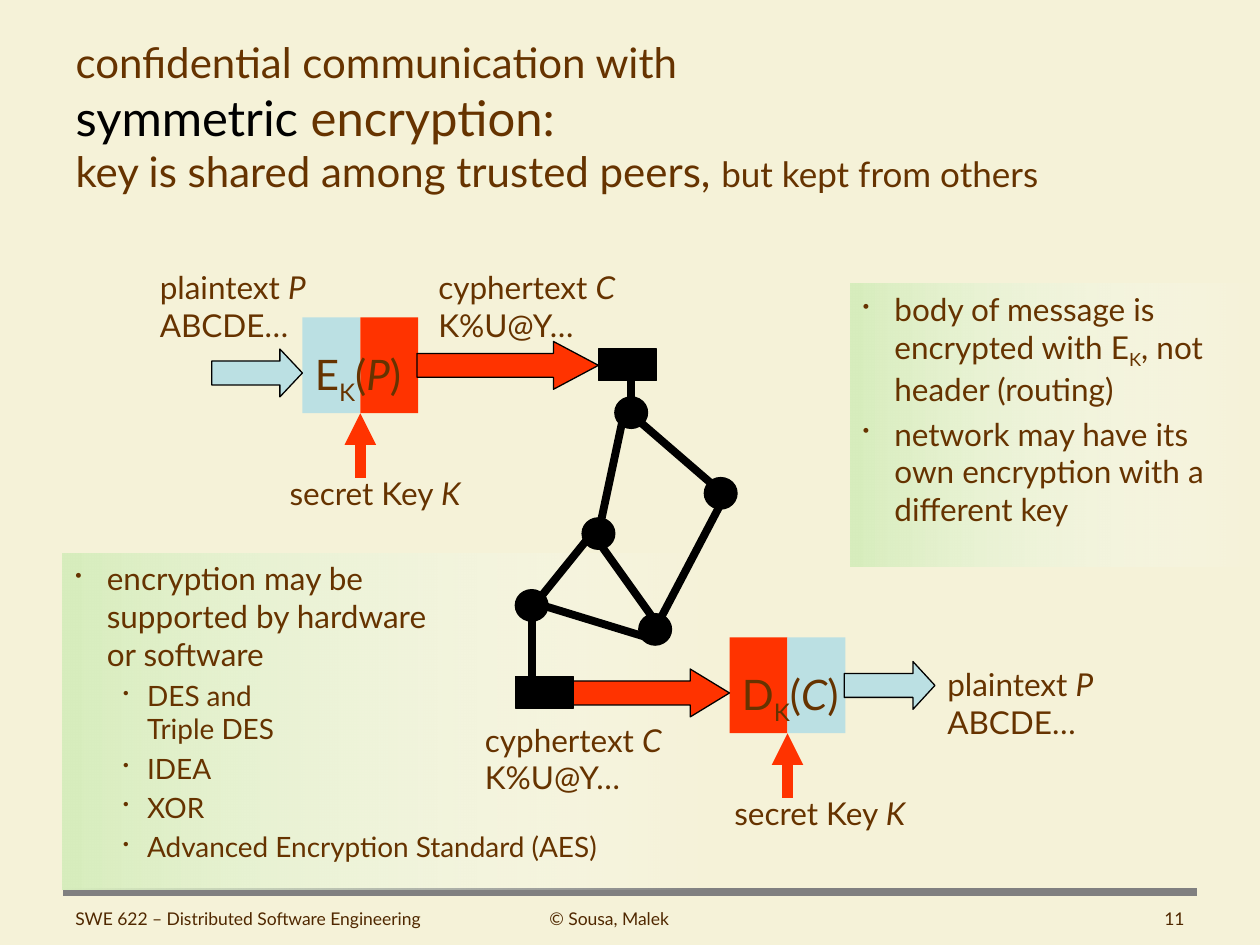
from lxml import etree
from pptx import Presentation
from pptx.dml.color import RGBColor
from pptx.enum.shapes import MSO_CONNECTOR, MSO_SHAPE as SHAPE
from pptx.enum.text import MSO_ANCHOR as ANCHOR, MSO_AUTO_SIZE as AUTO, PP_ALIGN as ALIGN
from pptx.oxml.ns import qn
from pptx.util import Inches, Pt

COLORS = {"bg": "F5F2D8", "text": "663300", "footer": "502800", "rule": "808080",
          "green": "D7EDBD", "white": "FFFFFF", "plain": "BBE0E3", "cipher": "FF3300",
          "black": "000000"}
FONT = "Lato"


def rgb(name):
    """Look up a named colour."""
    return RGBColor.from_string(COLORS[name])


def box_of(*lengths):
    """Turn inch values into lengths."""
    return [Inches(v) for v in lengths]


def add_runs(p, parts, size, color="text"):
    """Append (text, options) parts to a paragraph, breaking lines at newlines."""
    for text, opts in parts:
        for i, line in enumerate(text.split("\n")):
            if i:
                p.add_line_break()
            if not line:
                continue
            r = p.add_run()
            r.text = line
            r.font.name = FONT
            r.font.size = Pt(opts.get("size", size))
            r.font.color.rgb = rgb(opts.get("color", color))
            if opts.get("italic"):
                r.font.italic = True
            if opts.get("sub"):
                r.font._element.set("baseline", "-25000")


def add_text(s, box, paragraphs, size=18, color="text", align=ALIGN.LEFT, wrap=False):
    """Place a text box holding one list of parts per paragraph."""
    tf = s.shapes.add_textbox(*box_of(*box)).text_frame
    tf.word_wrap = wrap
    tf.auto_size = AUTO.NONE if wrap else AUTO.SHAPE_TO_FIT_TEXT
    for i, parts in enumerate(paragraphs):
        p = tf.paragraphs[0] if i == 0 else tf.add_paragraph()
        p.alignment = align
        add_runs(p, parts, size, color)


def add_block(s, kind, box, fill, outline=True):
    """Place a solid preset shape."""
    sp = s.shapes.add_shape(kind, *box_of(*box))
    sp.shadow.inherit = False
    sp.fill.solid()
    sp.fill.fore_color.rgb = rgb(fill)
    if outline:
        sp.line.color.rgb = rgb("black")
        sp.line.width = Pt(0.75)
    else:
        sp.line.fill.background()
    return sp


def add_arrow(s, box, fill, head):
    """Place a block arrow with the given head proportion."""
    sp = add_block(s, SHAPE.RIGHT_ARROW, box, fill)
    sp.adjustments[0] = 0.5
    sp.adjustments[1] = head


def add_line(s, start, end, color="black", width=4.5, arrow=False):
    """Draw a straight connector, optionally with an arrowhead at its end."""
    line = s.shapes.add_connector(MSO_CONNECTOR.STRAIGHT, *box_of(*start, *end))
    line.line.color.rgb = rgb(color)
    line.line.width = Pt(width)
    if arrow:
        etree.SubElement(line.line._get_or_add_ln(), qn("a:tailEnd"), type="triangle")
    etree.SubElement(line._element.spPr, qn("a:effectLst"))


def add_title(s, box):
    """Fill and place the title placeholder."""
    title = s.shapes.title
    title.left, title.top, title.width, title.height = box_of(*box)
    tf = title.text_frame
    tf.word_wrap = True
    tf.auto_size = AUTO.NONE
    tf.vertical_anchor = ANCHOR.MIDDLE
    p = tf.paragraphs[0]
    p.alignment = ALIGN.LEFT
    add_runs(p, [("confidential communication with\n", {}),
                 ("symmetric", {"size": 28, "color": "black"}),
                 (" encryption:\n", {"size": 28}),
                 ("key is shared among trusted peers, ", {}),
                 ("but kept from others", {"size": 20})], 24)


def add_panel(s, box, items):
    """Place a fading green panel with (level, parts) bullets."""
    sp = s.shapes.add_shape(SHAPE.RECTANGLE, *box_of(*box))
    sp.shadow.inherit = False
    sp.line.fill.background()
    sp.fill.gradient()
    sp.fill.gradient_angle = 0
    for stop, color, position in zip(sp.fill.gradient_stops, ("green", "white"), (0, 1)):
        stop.color.rgb = rgb(color)
        stop.position = position
    clear = sp._element.spPr.findall(".//" + qn("a:srgbClr"))[-1]
    etree.SubElement(clear, qn("a:alpha"), val="0")
    tf = sp.text_frame
    tf.word_wrap = True
    tf.vertical_anchor = ANCHOR.TOP
    for i, (level, parts) in enumerate(items):
        p = tf.paragraphs[0] if i == 0 else tf.add_paragraph()
        size, margin, hang = ((18, 0.25, 0.25), (16, 0.57, 0.19))[level]
        p.level = level
        p.alignment = ALIGN.LEFT
        p.space_before = Pt(size * 0.2)
        pPr = p._p.get_or_add_pPr()
        pPr.set("marL", str(Inches(margin)))
        pPr.set("indent", str(-Inches(hang)))
        etree.SubElement(pPr, qn("a:buSzPct"), val="60000")
        etree.SubElement(pPr, qn("a:buChar"), char="•")
        add_runs(p, parts, size)


def add_cipher(s, x, y, letter, variable, fills, key_shift):
    """Place a two-tone cipher block with its formula and secret key."""
    w, h = 0.46, 0.76
    for i, fill in enumerate(fills):
        add_block(s, SHAPE.RECTANGLE, (x + i * w, y, w, h), fill, outline=False)
    add_text(s, (x, y + 0.2, 1, 0.5),
             [[(letter, {}), ("K", {"sub": True}), ("(", {}),
               (variable, {"italic": True}), (")", {})]], size=24)
    add_line(s, (x + w, y + 1.27), (x + w, y + h), "cipher", 6, arrow=True)
    add_text(s, (x + key_shift, y + 1.19, 1.58, 0.4),
             [[("secret Key ", {}), ("K", {"italic": True})]])


def add_message(s, box, name, variable, sample):
    """Label a message with its name and sample content."""
    add_text(s, box, [[(name + " ", {}), (variable, {"italic": True})], [(sample, {})]])


def add_network(s, x, y):
    """Draw the routers, links and two end hosts of the network."""
    nodes = [(0.79, 0.38), (0.53, 1.34), (1.5, 1.02), (0, 1.91), (0.98, 2.1)]
    links = [((0.66, 1.4), (0.2, 1.97)), ((0.98, 0.57), (1.57, 1.08)),
             ((0.85, 0.57), (0.66, 1.46)), ((0.66, 1.53), (1.11, 2.16)),
             ((0.2, 2.03), (1.05, 2.29)), ((1.64, 1.21), (1.11, 2.22)),
             ((0.92, 0.13), (0.92, 0.45)), ((0.13, 2.16), (0.13, 2.67))]
    hosts = [(0.66, 0), (0, 2.6)]
    for (x1, y1), (x2, y2) in links:
        add_line(s, (x + x1, y + y1), (x + x2, y + y2))
    for dx, dy in nodes:
        add_block(s, SHAPE.OVAL, (x + dx, y + dy, 0.26, 0.25), "black")
    for dx, dy in hosts:
        add_block(s, SHAPE.RECTANGLE, (x + dx, y + dy, 0.46, 0.25), "black")


def add_footer(s, x, y, w):
    """Draw the rule and the three footer texts."""
    add_line(s, (x, y), (x + w, y), "rule")
    for dx, width, text, align in (
            (0, 3.17, "SWE 622 – Distributed Software Engineering", ALIGN.LEFT),
            (3.17, 2.33, "© Sousa, Malek", ALIGN.CENTER),
            (5.5, 3.5, "11", ALIGN.RIGHT)):
        add_text(s, (x + dx, y + 0.08, width, 0.33), [[(text, {})]], 10, "footer", align, True)


def main():
    """Build the slide and save it."""
    prs = Presentation()
    prs.slide_width, prs.slide_height = box_of(10, 7.5)
    s = prs.slides.add_slide(prs.slide_layouts[5])
    s.background.fill.solid()
    s.background.fill.fore_color.rgb = rgb("bg")
    add_footer(s, 0.5, 7.08, 9)
    add_panel(s, (0.5, 4.39, 5.17, 2.67), [
        (0, [("encryption may be\nsupported by hardware\nor software", {})]),
        (1, [("DES and\nTriple DES", {})]),
        (1, [("IDEA", {})]),
        (1, [("XOR", {})]),
        (1, [("Advanced Encryption Standard (AES)", {})])])
    add_title(s, (0.5, 0.3, 9, 1.25))
    add_panel(s, (6.75, 2.25, 3.25, 2.25), [
        (0, [("body of message is encrypted with E", {}), ("K", {"sub": True}),
             (", not header (routing)", {})]),
        (0, [("network may have its own encryption with a different key", {})])])
    add_cipher(s, 2.4, 2.52, "E", "P", ("plain", "cipher"), -0.2)
    add_cipher(s, 5.79, 5.06, "D", "C", ("cipher", "plain"), -0.06)
    add_arrow(s, (1.68, 2.77, 0.72, 0.38), "plain", 0.47)
    add_arrow(s, (6.7, 5.25, 0.72, 0.38), "plain", 0.46)
    add_arrow(s, (3.31, 2.71, 1.44, 0.38), "cipher", 0.94)
    add_arrow(s, (4.55, 5.31, 1.24, 0.38), "cipher", 0.82)
    for x, y in ((1.17, 2.08), (7.42, 5.23)):
        add_message(s, (x, y, 1.37, 0.71), "plaintext", "P", "ABCDE…")
    for x, y in ((3.38, 2.08), (3.75, 5.67)):
        add_message(s, (x, y, 1.61, 0.71), "cyphertext", "C", "K%U@Y…")
    add_network(s, 4.09, 2.77)
    prs.save("out.pptx")


if __name__ == "__main__":
    main()
